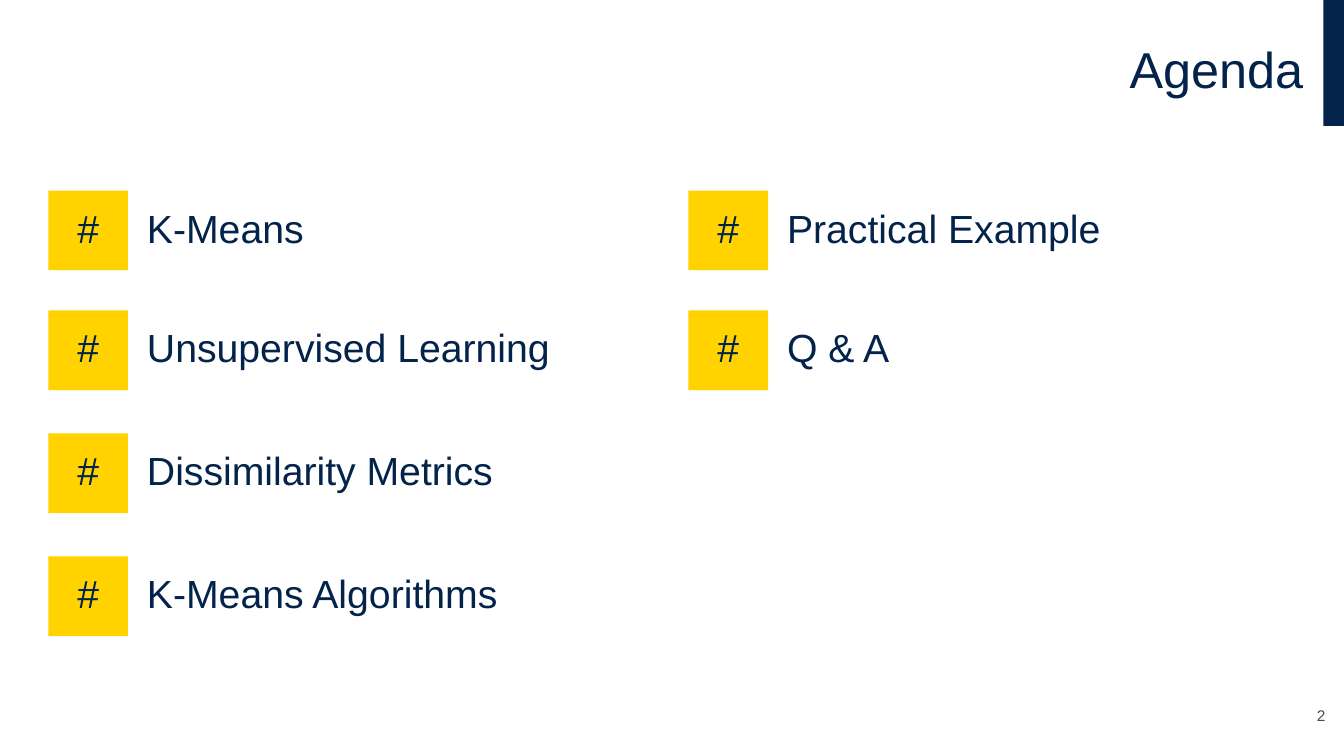
"""Build the agenda slide."""
from pptx import Presentation
from pptx.dml.color import RGBColor
from pptx.enum.shapes import MSO_SHAPE
from pptx.enum.text import MSO_ANCHOR, MSO_AUTO_SIZE, PP_ALIGN
from pptx.util import Inches, Pt

RECT = MSO_SHAPE.RECTANGLE
MIDDLE, BOTTOM = MSO_ANCHOR.MIDDLE, MSO_ANCHOR.BOTTOM
LEFT, CENTER, RIGHT = PP_ALIGN.LEFT, PP_ALIGN.CENTER, PP_ALIGN.RIGHT
FIXED = MSO_AUTO_SIZE.NONE
NAVY, GOLD, GREY = "03234B", "FFD200", "464650"
CELL = 0.1
COLS, ROWS = 133.33, 75
SIDES = (4.8, 68.3)
LINES = (18.9, 30.8, 43, 55.2)
TILE, INDENT, WIDTH = 7.9, 8.8, 51.9
TOPICS = (
    ("K-Means", "Unsupervised Learning", "Dissimilarity Metrics", "K-Means Algorithms"),
    ("Practical Example", "Q & A"),
)


def grid(*cells):
    return [Inches(cell * CELL) for cell in cells]


def color(code):
    return RGBColor.from_string(code)


def assign(target, values):
    for name, value in values.items():
        setattr(target, name, value)


class Page:
    """Hold the style and the current slide."""

    def __init__(self, deck, font="Arial"):
        self.font = font
        self.slide = deck.slides.add_slide(deck.slide_layouts[5])

    def letter(self, shape, text, size=28, tint=NAVY, align=LEFT,
               anchor=MIDDLE, pad=(1, 0.5, 1, 0.5), space=0.9):
        frame = shape.text_frame
        left, top, right, bottom = grid(*pad)
        assign(frame, {
            "text": text, "word_wrap": True, "auto_size": FIXED,
            "vertical_anchor": anchor, "margin_left": left,
            "margin_top": top, "margin_right": right, "margin_bottom": bottom,
        })
        para = frame.paragraphs[0]
        assign(para, {"alignment": align, "line_spacing": space, "space_before": Pt(0)})
        font = para.runs[0].font
        assign(font, {"name": self.font, "size": Pt(size)})
        font.color.rgb = color(tint)

    def title(self, box, text):
        shape = self.slide.shapes.title
        assign(shape, dict(zip(("left", "top", "width", "height"), grid(*box))))
        self.letter(shape, text, size=36, align=RIGHT)

    def block(self, box, fill):
        shape = self.slide.shapes.add_shape(RECT, *grid(*box))
        shape.shadow.inherit = False
        shape.fill.solid()
        shape.fill.fore_color.rgb = color(fill)
        shape.line.fill.background()
        return shape

    def label(self, box, text, **style):
        self.letter(self.slide.shapes.add_textbox(*grid(*box)), text, **style)

    def topic(self, left, top, text):
        tile = self.block((left, top, TILE, TILE), GOLD)
        self.letter(tile, "#", align=CENTER, pad=(0, 0, 0, 0))
        self.label((left + INDENT, top, WIDTH, TILE), text)


def main():
    deck = Presentation()
    deck.slide_width, deck.slide_height = grid(COLS, ROWS)
    page = Page(deck)
    page.block((131.3, 0, 2.03, 12.5), NAVY)
    page.title((3.3, 0, 127, 14.3), "Agenda")
    for left, topics in zip(SIDES, TOPICS):
        for top, text in zip(LINES, topics):
            page.topic(left, top, text)
    page.label((127, 69.2, 4.5, 3.2), "2", size=11, tint=GREY, align=RIGHT,
               anchor=BOTTOM, pad=(0, 0.5, 0, 0.5), space=1.0)
    deck.save("out.pptx")


if __name__ == "__main__":
    main()
